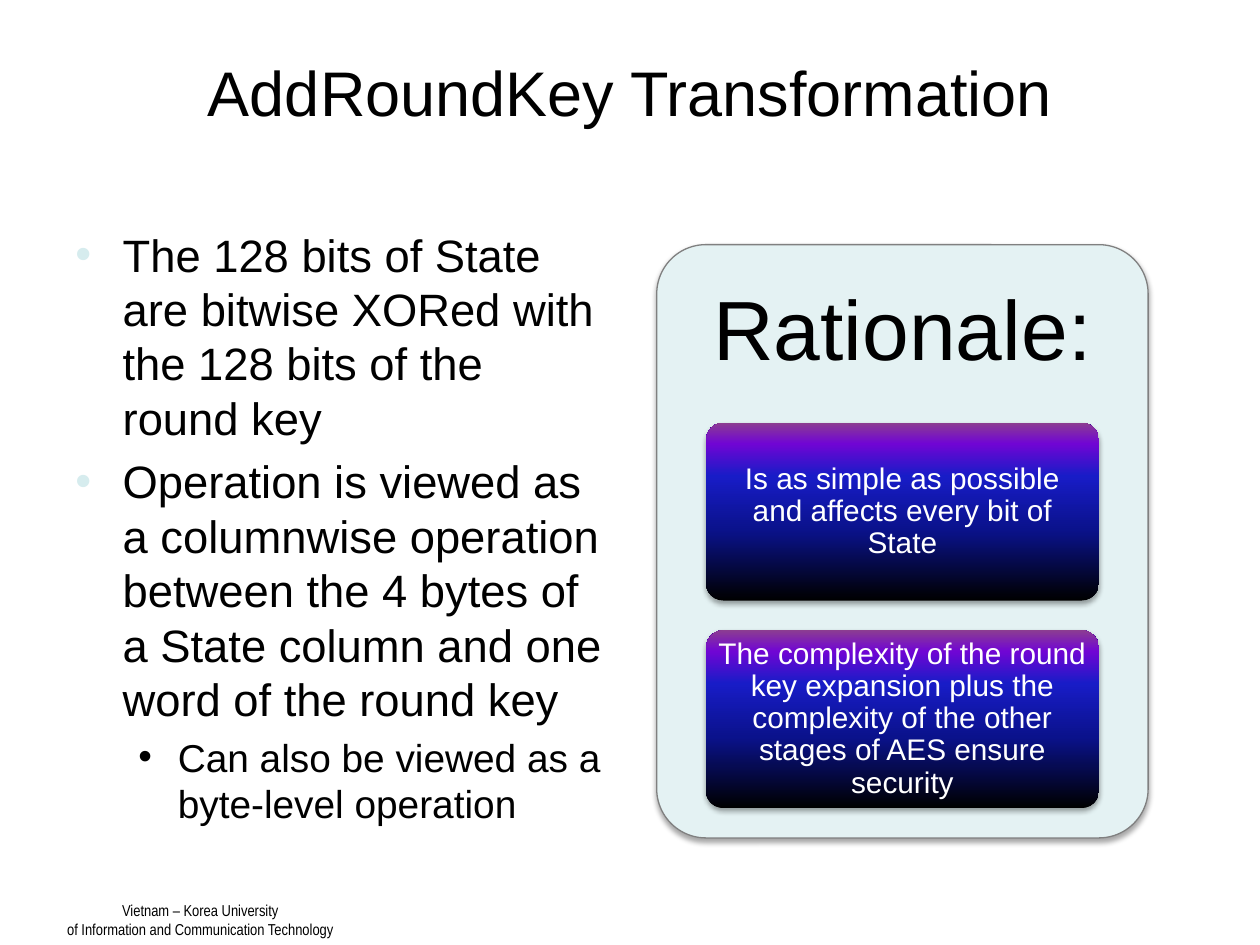
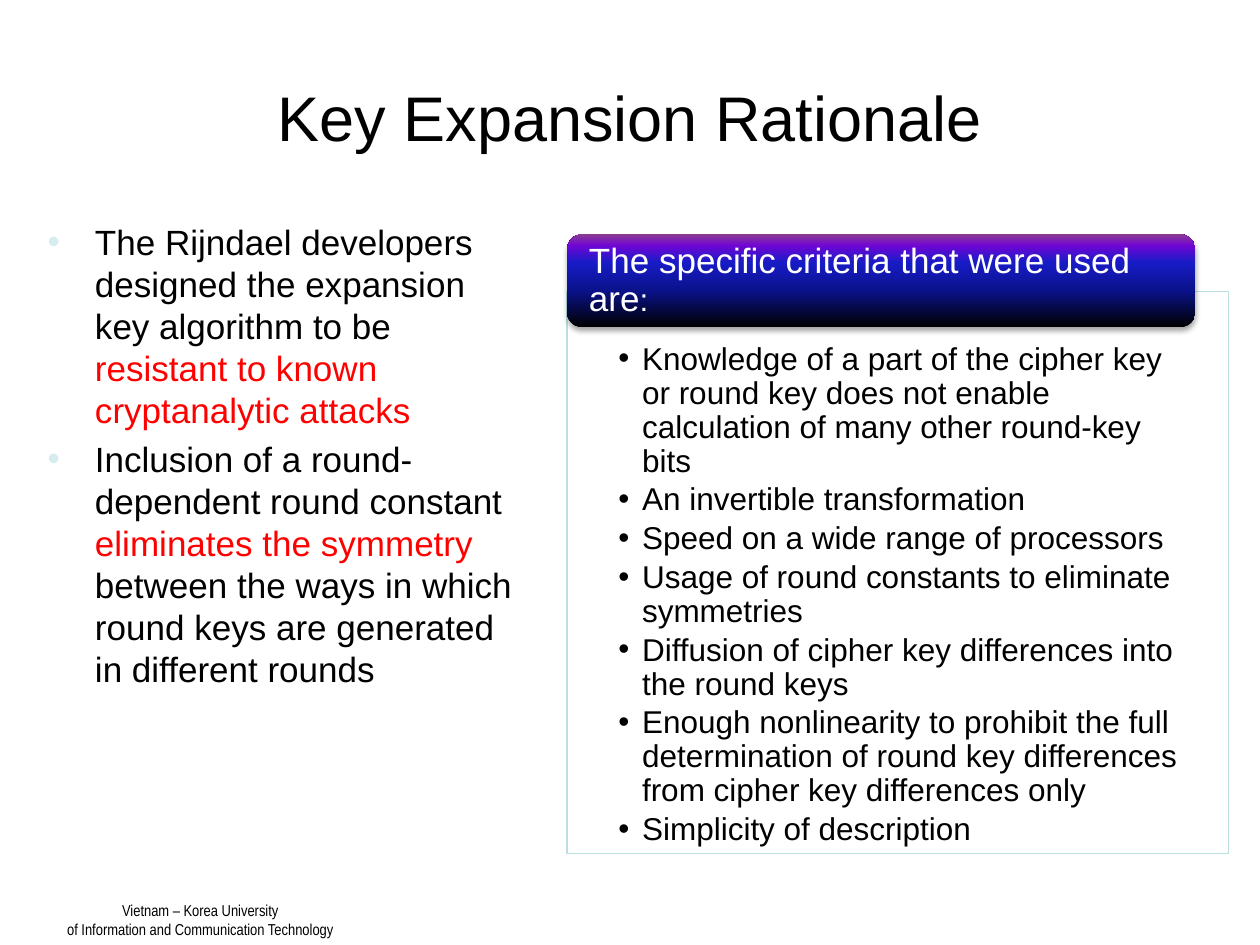
from lxml.etree import SubElement as Sub
from pptx import Presentation
from pptx.dml.color import RGBColor
from pptx.enum.shapes import MSO_SHAPE as Geo
from pptx.enum.text import MSO_ANCHOR as Anchor, MSO_AUTO_SIZE as Fit, PP_ALIGN as Align
from pptx.oxml.ns import qn
from pptx.util import Pt

HUES = {
    "ink": "000000", "white": "FFFFFF", "red": "FF0000", "dot": "D6ECEE",
    "panel": "E4F2F3", "edge": "808080", "frame": "BBE0E3",
}
GLOW = {0: "000000", 40: "0A128C", 70: "181CC7", 88: "7005D4", 100: "8C3D91"}
FONT = "Arial"


def hue(name):
    """Return the colour that a name stands for."""
    return RGBColor.from_string(HUES[name])


def add_run(para, text, size, color="ink", font=FONT):
    """Add one formatted run to a paragraph."""
    run = para.add_run()
    run.text = text
    run.font.size = Pt(size)
    run.font.name = font
    run.font.color.rgb = hue(color)


def set_frame(frame, insets=(7.2, 3.6, 7.2, 3.6), anchor=Anchor.TOP):
    """Set wrapping, insets and anchor of a text frame."""
    frame.word_wrap = True
    frame.auto_size = Fit.NONE
    frame.vertical_anchor = anchor
    left, top, right, low = map(Pt, insets)
    frame.margin_left, frame.margin_top = left, top
    frame.margin_right, frame.margin_bottom = right, low
    return frame


def next_para(frame, first):
    """Return the first paragraph or a new one."""
    return frame.paragraphs[0] if first else frame.add_paragraph()


def add_dot(para, left, hang, color="ink"):
    """Give a paragraph a hanging bullet."""
    props = para._p.get_or_add_pPr()
    props.set("marL", str(Pt(left)))
    props.set("indent", str(-Pt(hang)))
    Sub(Sub(props, qn("a:buClr")), qn("a:srgbClr"), val=HUES[color])
    Sub(props, qn("a:buFont"), typeface=FONT)
    Sub(props, qn("a:buChar"), char="•")


def add_box(slide, box, geo, fill=None, line=None, adj=None):
    """Add a shape with a plain or glowing fill and an optional outline."""
    shape = slide.shapes.add_shape(geo, *map(Pt, box))
    if adj:
        shape.adjustments[0] = adj
    if fill:
        shape.fill.solid()
        shape.fill.fore_color.rgb = hue(fill)
    else:
        add_glow(shape)
    if line:
        shape.line.color.rgb = hue(line)
        shape.line.width = Pt(0.75)
    else:
        shape.line.fill.background()
    shape.shadow.inherit = False
    return shape


def add_glow(shape):
    """Fill a shape with the upward gradient."""
    shape.fill.gradient()
    shape.fill.gradient_angle = 90
    stops = shape._element.spPr.find(".//" + qn("a:gsLst"))
    for stop in list(stops):
        stops.remove(stop)
    for pos, color in GLOW.items():
        stop = Sub(stops, qn("a:gs"), pos=str(pos * 1000))
        Sub(stop, qn("a:srgbClr"), val=color)


def add_shade(shape):
    """Add a soft shadow below a shape."""
    shade = Sub(shape._element.spPr.find(qn("a:effectLst")), qn("a:outerShdw"),
                blurRad=str(Pt(3.1)), dist=str(Pt(1.8)), dir="5400000", rotWithShape="0")
    Sub(Sub(shade, qn("a:srgbClr"), val=HUES["ink"]), qn("a:alpha"), val="35000")


def add_label(frame, parts, align=Align.CENTER):
    """Write one tightly set paragraph of text, size and colour parts."""
    para = frame.paragraphs[0]
    para.alignment = align
    para.line_spacing = 0.9
    for text, size, color in parts:
        add_run(para, text, size, color)


def add_foot(slide, box):
    """Write the school name at the foot of the slide."""
    frame = set_frame(slide.shapes.add_textbox(*map(Pt, box)).text_frame)
    frame.word_wrap = False
    lines = ("Vietnam – Korea University", "of Information and Communication Technology")
    for row, text in enumerate(lines):
        para = next_para(frame, row == 0)
        para.alignment = Align.CENTER
        add_run(para, text, 9, font="Arial Narrow")


def add_page(deck, title, height):
    """Add a slide with its title and foot."""
    slide = deck.slides.add_slide(deck.slide_layouts[5])
    head = slide.shapes.title
    head.left, head.top, head.width, head.height = map(Pt, (36, 21.6, 648, height))
    para = set_frame(head.text_frame, anchor=Anchor.MIDDLE).paragraphs[0]
    para.alignment = Align.CENTER
    add_run(para, title, 36)
    add_foot(slide, (29.8, 511, 169.2, 28.8))
    return slide


def add_body(slide, box, size, items):
    """Write bulleted items, each a level and its coloured runs."""
    frame = set_frame(slide.shapes.add_textbox(*map(Pt, box)).text_frame)
    for row, (level, runs) in enumerate(items):
        para = next_para(frame, row == 0)
        para.level = level
        if level:
            add_dot(para, 58.5, 22.5)
        else:
            add_dot(para, 27, 27, "dot")
        scale = size * 6 / 7 if level else size
        para.space_before = Pt(round(scale * 0.2, 1) if row else 0)
        for text, color in runs:
            add_run(para, text, round(scale, 1), color)


def add_panel(slide, box, head, notes):
    """Draw a rounded panel with a heading and a stack of glowing notes."""
    left, top, width, height = box
    add_shade(add_box(slide, box, Geo.ROUNDED_RECTANGLE, "panel", "edge", 0.1))
    area = slide.shapes.add_textbox(*map(Pt, (left, top, width, height * 0.3)))
    frame = set_frame(area.text_frame, (14.4,) * 4, Anchor.MIDDLE)
    add_label(frame, [(head, 48, "ink")])
    tall, step = height * 0.3, height * 0.35
    for row, text in enumerate(notes):
        spot = (left + width * 0.1, top + height * 0.3 + row * step, width * 0.8, tall)
        note = add_box(slide, spot, Geo.ROUNDED_RECTANGLE, adj=0.1)
        add_shade(note)
        frame = set_frame(note.text_frame, (3.6, 2.7, 3.6, 2.7), Anchor.MIDDLE)
        add_label(frame, [(text, 17, "white")])


def add_list(slide, box, head, items):
    """Draw a framed list with a glowing header over its top edge."""
    left, top, width, height = box
    drop = 32.6
    spot = (left, top + drop, width, height - drop)
    area = add_box(slide, spot, Geo.RECTANGLE, "white", "frame")
    frame = set_frame(area.text_frame, (29.4, 29.4, 26, 10.1))
    for row, text in enumerate(items):
        para = next_para(frame, row == 0)
        para.level = 1
        add_dot(para, 13.5, 13.5)
        para.alignment = Align.LEFT
        para.line_spacing = 0.9
        para.space_after = Pt(2.7)
        add_run(para, text, 18)
    band = add_box(slide, (left, top, width * 0.95, 53.1), Geo.ROUNDED_RECTANGLE)
    add_shade(band)
    frame = set_frame(band.text_frame, (10, 0, 10, 0), Anchor.MIDDLE)
    add_label(frame, [(head, 20, "white"), (":", 18, "white")], Align.LEFT)


def add_round(deck):
    """Build the slide on the round key step."""
    slide = add_page(deck, "AddRoundKey Transformation", 61.2)
    add_body(slide, (36, 126, 318.2, 356.4), 25.9, [
        (0, [("The 128 bits of State are bitwise XORed with the 128 bits of the round key",
              "ink")]),
        (0, [("Operation is viewed as a columnwise operation between the 4 bytes of "
              "a State column and one word of the round key", "ink")]),
        (1, [("Can also be viewed as a byte-level operation", "ink")]),
    ])
    add_panel(slide, (375.3, 139.8, 280.8, 339), "Rationale:", [
        "Is as simple as possible and affects every bit of State",
        "The complexity of the round key expansion plus the complexity of the other "
        "stages of AES ensure security",
    ])


def add_keys(deck):
    """Build the slide on the key expansion."""
    slide = add_page(deck, "Key Expansion Rationale", 90)
    add_body(slide, (20.2, 122.4, 280.8, 365.8), 20, [
        (0, [("The Rijndael developers designed the expansion key algorithm to be ", "ink"),
             ("resistant to known cryptanalytic attacks", "red")]),
        (0, [("Inclusion of a round-dependent round constant ", "ink"),
             ("eliminates the symmetry ", "red"),
             ("between the ways in which round keys are generated in different rounds",
              "ink")]),
    ])
    add_list(slide, (324, 133.9, 378, 353.7), "The specific criteria that were used are", [
        "Knowledge of a part of the cipher key or round key does not enable "
        "calculation of many other round-key bits",
        "An invertible transformation",
        "Speed on a wide range of processors",
        "Usage of round constants to eliminate symmetries",
        "Diffusion of cipher key differences into the round keys",
        "Enough nonlinearity to prohibit the full determination of round key "
        "differences from cipher key differences only",
        "Simplicity of description",
    ])


def main():
    """Build and save the deck."""
    deck = Presentation()
    deck.slide_width, deck.slide_height = Pt(720), Pt(540)
    add_round(deck)
    add_keys(deck)
    deck.save("out.pptx")


if __name__ == "__main__":
    main()
